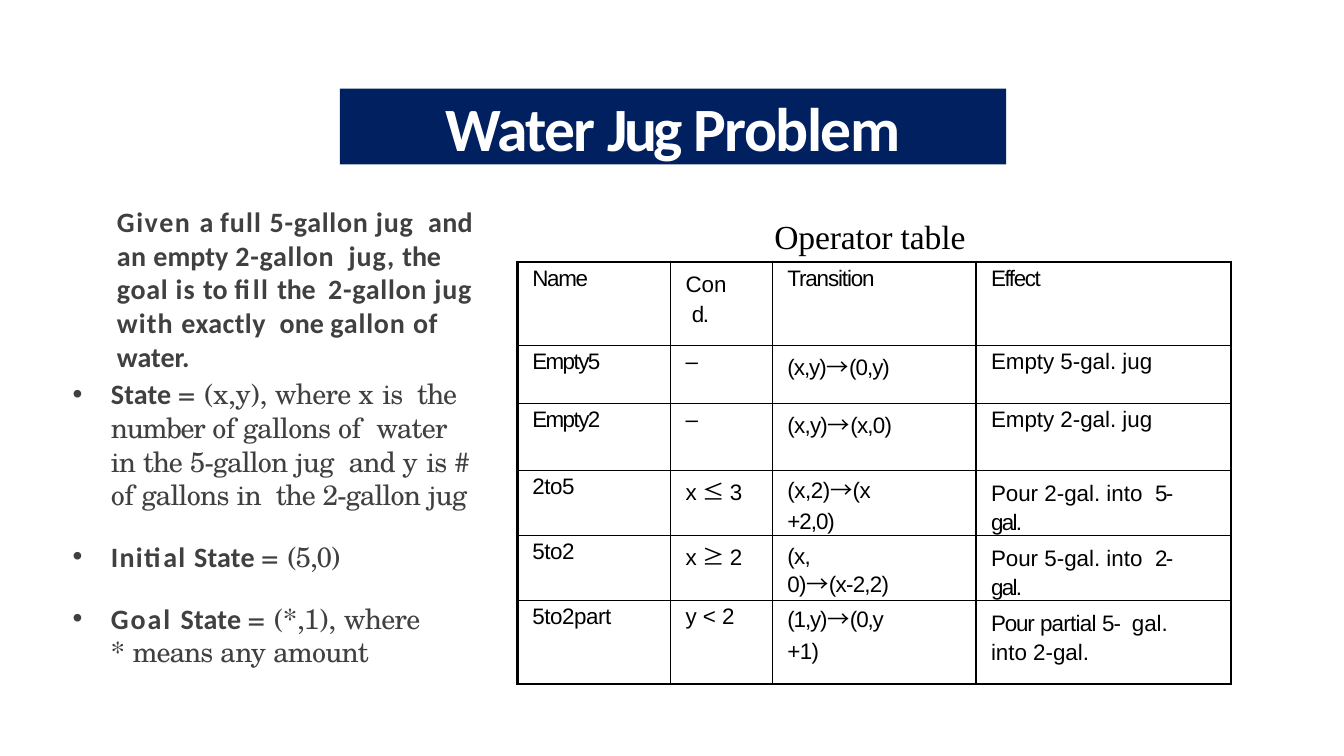
"""Build the Water Jug Problem slide with its operator table."""
from dataclasses import dataclass
from typing import NamedTuple

from lxml import etree
from pptx import Presentation
from pptx.dml.color import RGBColor
from pptx.enum.text import MSO_ANCHOR, MSO_AUTO_SIZE, PP_ALIGN
from pptx.oxml.ns import qn
from pptx.util import Inches, Pt

CENTER, LEFT = PP_ALIGN.CENTER, PP_ALIGN.LEFT
MIDDLE, TOP = MSO_ANCHOR.MIDDLE, MSO_ANCHOR.TOP
FIT_SHAPE = MSO_AUTO_SIZE.SHAPE_TO_FIT_TEXT
NAVY = RGBColor(0x00, 0x20, 0x60)
WHITE = RGBColor(0xFF, 0xFF, 0xFF)
BLACK = RGBColor(0x00, 0x00, 0x00)
GRAY = RGBColor(0x40, 0x40, 0x40)
SYMBOL_FONT = "Noto Sans CJK JP"
SYMBOLS = "→≤≥"


class Style(NamedTuple):
    font: str
    size: float
    color: RGBColor
    bold: bool = False
    align: PP_ALIGN = LEFT


class Span(NamedTuple):
    text: str
    spacing: float = 0
    label: bool = False


@dataclass
class Para:
    spans: list[Span]
    before: float = 1
    line: float | None = None
    margin: float = 0
    hanging: float = 0
    bullet: str = ""


@dataclass
class Entry:
    paras: list[list[Span]]
    line: float | None = None
    wraps: bool = False


TITLE_STYLE = Style("Calibri", 44, WHITE, True, CENTER)
INTRO_STYLE = Style("Calibri", 20, GRAY, True)
LIST_STYLE = Style("TeX Gyre Schola", 20, GRAY)
CAPTION_STYLE = Style("Times New Roman", 24, BLACK)
CELL_STYLE = Style("Arial", 16, BLACK)

TITLE = Para([Span("Water ", -1.4), Span("Jug ", -2.4), Span("Problem", -1.2)])
INTRO = Para([
    Span("Given ", 1.1), Span("a ", 0.1), Span("full ", 0.8), Span("5-gallon ", 0.5),
    Span("jug  ", 0.6), Span("and ", 0.2), Span("an ", 0.3), Span("empty"),
    Span(" 2-gallon  ", 0.5), Span("jug, ", 0.6), Span("the ", -0.1), Span("goal ", 0.5),
    Span("is ", 0.7), Span("to ", 0.1), Span("fill ", 1), Span("the  ", -0.1),
    Span("2-gallon ", 0.5), Span("jug ", 0.6), Span("with ", 0.8), Span("exactly  ", 0.3),
    Span("one "), Span("gallon ", 0.6), Span("of ", 0.4), Span("water."),
])
CAPTION = Para([Span("Operator table", -0.1)])


def list_item(before: float, spans: list[Span]) -> Para:
    """Describe one bulleted list item."""
    return Para(spans, before, margin=0.39, hanging=0.38, bullet="•")


STATES = [
    list_item(1, [
        Span("State ", 0.1, True), Span("= ", 0.5), Span("(x,y), ", -0.2),
        Span("where ", -0.5), Span("x ", 0.3), Span("is  ", -0.6), Span("the ", -0.7),
        Span("number ", -0.9), Span("of ", -0.2), Span("gallons ", -0.5), Span("of  ", -0.2),
        Span("water in ", -0.6), Span("the ", -0.7), Span("5-gallon ", -0.6),
        Span("jug  ", -0.5), Span("and ", -0.6), Span("y ", 0.3), Span("is ", -0.6),
        Span("# ", 0.5), Span("of ", -0.2), Span("gallons ", -0.5), Span("in  ", -0.6),
        Span("the ", -0.7), Span("2-gallon ", -0.6), Span("jug", -0.5),
    ]),
    list_item(20, [Span("Initial ", 0.9, True), Span("State ", 0.1, True),
                   Span("= ", 0.5), Span("(5,0)", -0.9)]),
    list_item(20, [Span("Goal ", 1.4, True), Span("State ", 0.1, True), Span("= ", 0.5),
                   Span("(*,1), ", -0.1), Span("where", -0.5)]),
    Para([Span("* ", -0.1), Span("means ", -0.7), Span("any ", -0.3),
          Span("amount", -0.6)], 0, margin=0.39),
]


def plain(text: str, spacing: float = 0) -> Entry:
    """Describe a one-line cell."""
    return Entry([[Span(text, spacing)]])


def compare(name: str, sign: str, value: str) -> Entry:
    """Describe a condition cell with a comparison sign."""
    return Entry([[Span(name), Span(sign, -0.3), Span(value, -1.1)]])


def arrow(before: str, after: str, spacing: float) -> list[Span]:
    """Describe a state transition."""
    return [Span(before, spacing), Span("→", spacing), Span(after, spacing)]


def split(*paras: list[Span]) -> Entry:
    """Describe a transition set on two lines."""
    return Entry(list(paras), 21.3)


def wrapped(*spans: Span) -> Entry:
    """Describe a cell whose text wraps early."""
    return Entry([list(spans)], 21, True)


COLUMNS = [1.52, 1.01, 2.02, 2.53]
ROWS = [0.83, 0.57, 0.67, 0.62, 0.62, 0.83]
OPERATORS = [
    [plain("Name", -0.9), wrapped(Span("Con  "), Span("d.", -0.9)),
     plain("Transition", -0.8), plain("Effect", -1)],
    [plain("Empty5", -1.1), plain("–"), Entry([arrow("(x,y)", "(0,y)", -0.7)]),
     plain("Empty 5-gal. jug")],
    [plain("Empty2", -1.1), plain("–"), Entry([arrow("(x,y)", "(x,0)", -0.5)]),
     plain("Empty 2-gal. jug")],
    [plain("2to5", -0.3), compare("x ", "≤ ", "3"),
     split(arrow("(x,2)", "(x", -0.3), [Span("+2,0)", -0.7)]),
     wrapped(Span("Pour 2-gal. into  "), Span("5-gal.", -1.2))],
    [plain("5to2", -0.3), compare("x ", "≥ ", "2"),
     split([Span("(x,", -0.5)], arrow("0)", "(x-2,2)", -0.5)),
     wrapped(Span("Pour 5-gal. into  "), Span("2-gal.", -1.2))],
    [plain("5to2part", -0.3), plain("y < 2"),
     split(arrow("(1,y)", "(0,y", -0.8), [Span("+1)", -0.4)]),
     wrapped(Span("Pour ", -0.8), Span("partial ", -0.5), Span("5-  ", -0.6),
             Span("gal. into 2-gal."))],
]


def write_paras(frame, paras: list[Para], style: Style) -> None:
    """Fill a text frame with styled paragraphs."""
    for index, para in enumerate(paras):
        paragraph = frame.paragraphs[0] if index == 0 else frame.add_paragraph()
        properties = paragraph._p.get_or_add_pPr()
        properties.set("marL", str(Inches(para.margin)))
        properties.set("indent", str(-Inches(para.hanging)))
        if para.bullet:
            etree.SubElement(properties, qn("a:buChar"), char=para.bullet)
        else:
            etree.SubElement(properties, qn("a:buNone"))
        paragraph.alignment = style.align
        paragraph.space_before = Pt(para.before)
        paragraph.line_spacing = Pt(para.line) if para.line else 1.0
        font = paragraph.font
        font.name, font.size, font.bold = style.font, Pt(style.size), style.bold
        font.color.rgb = style.color
        for span in para.spans:
            run = paragraph.add_run()
            run.text = span.text
            run._r.get_or_add_rPr().set("spc", str(round(span.spacing * 100)))
            if span.label:
                run.font.name, run.font.bold = "Calibri", True
            elif span.text[0] in SYMBOLS:
                run.font.name = SYMBOL_FONT


def place_text(shape, box: tuple[float, ...], paras: list[Para], style: Style,
               anchor: MSO_ANCHOR = TOP) -> None:
    """Position a text shape and write its paragraphs."""
    shape.left, shape.top, shape.width, shape.height = map(Inches, box)
    frame = shape.text_frame
    frame.word_wrap, frame.auto_size, frame.vertical_anchor = True, FIT_SHAPE, anchor
    frame.margin_left = frame.margin_right = frame.margin_bottom = 0
    frame.margin_top = Inches(0.01)
    write_paras(frame, paras, style)


def add_border(cell, side: str, width: float) -> None:
    """Draw one black border of a cell."""
    line = etree.SubElement(cell._tc.get_or_add_tcPr(), qn(f"a:ln{side}"), w=str(Pt(width)))
    fill = etree.SubElement(line, qn("a:solidFill"))
    etree.SubElement(fill, qn("a:srgbClr"), val=str(BLACK))


def add_operator_table(page) -> None:
    """Add the table of operators."""
    table = page.shapes.add_table(len(ROWS), len(COLUMNS), Inches(5.13), Inches(2.6),
                                  Inches(sum(COLUMNS)), Inches(sum(ROWS))).table
    table.first_row = table.horz_banding = False
    for column, width in zip(table.columns, COLUMNS):
        column.width = Inches(width)
    for row, height in zip(table.rows, ROWS):
        row.height = Inches(height)
    for r, entries in enumerate(OPERATORS):
        for c, entry in enumerate(entries):
            cell = table.cell(r, c)
            cell.margin_left = cell.margin_bottom = 0
            cell.margin_right = Inches(0.4 if entry.wraps else 0)
            cell.margin_top = Inches(0.06 if entry.wraps else 0.04)
            first = 4.8 if entry.wraps else 3.6
            write_paras(cell.text_frame,
                        [Para(spans, 0 if index else first, entry.line, 0.15)
                         for index, spans in enumerate(entry.paras)], CELL_STYLE)
            outer = {"L": c == 0, "R": c == len(COLUMNS) - 1,
                     "T": r == 0, "B": r == len(ROWS) - 1}
            for side, is_outer in outer.items():
                add_border(cell, side, 2.25 if is_outer else 1)
            cell.fill.background()


def main() -> None:
    """Build and save the deck."""
    deck = Presentation()
    deck.slide_width, deck.slide_height = Inches(13.33), Inches(7.5)
    page = deck.slides.add_slide(deck.slide_layouts[1])
    title, body = page.placeholders
    title.fill.solid()
    title.fill.fore_color.rgb = NAVY
    place_text(title, (3.37, 0.88, 6.61, 0.75), [TITLE], TITLE_STYLE, MIDDLE)
    add_operator_table(page)
    intro = page.shapes.add_textbox(0, 0, 0, 0)
    place_text(intro, (1.16, 2.02, 3.67, 1.7), [INTRO], INTRO_STYLE)
    place_text(body, (0.71, 3.73, 4.03, 2.93), STATES, LIST_STYLE)
    caption = page.shapes.add_textbox(0, 0, 0, 0)
    place_text(caption, (7.68, 2.13, 2.36, 0.42), [CAPTION], CAPTION_STYLE)
    deck.save("out.pptx")


if __name__ == "__main__":
    main()
